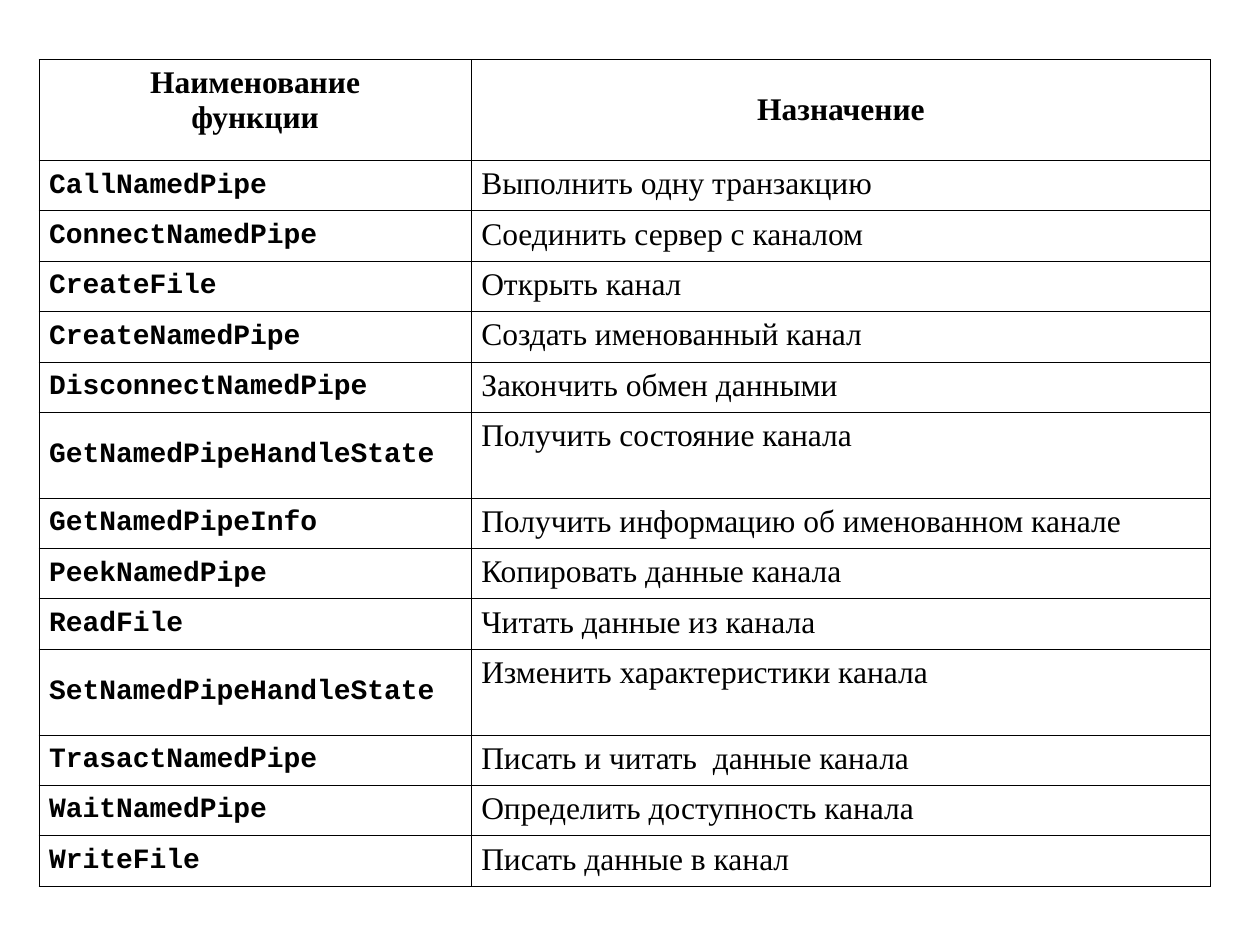
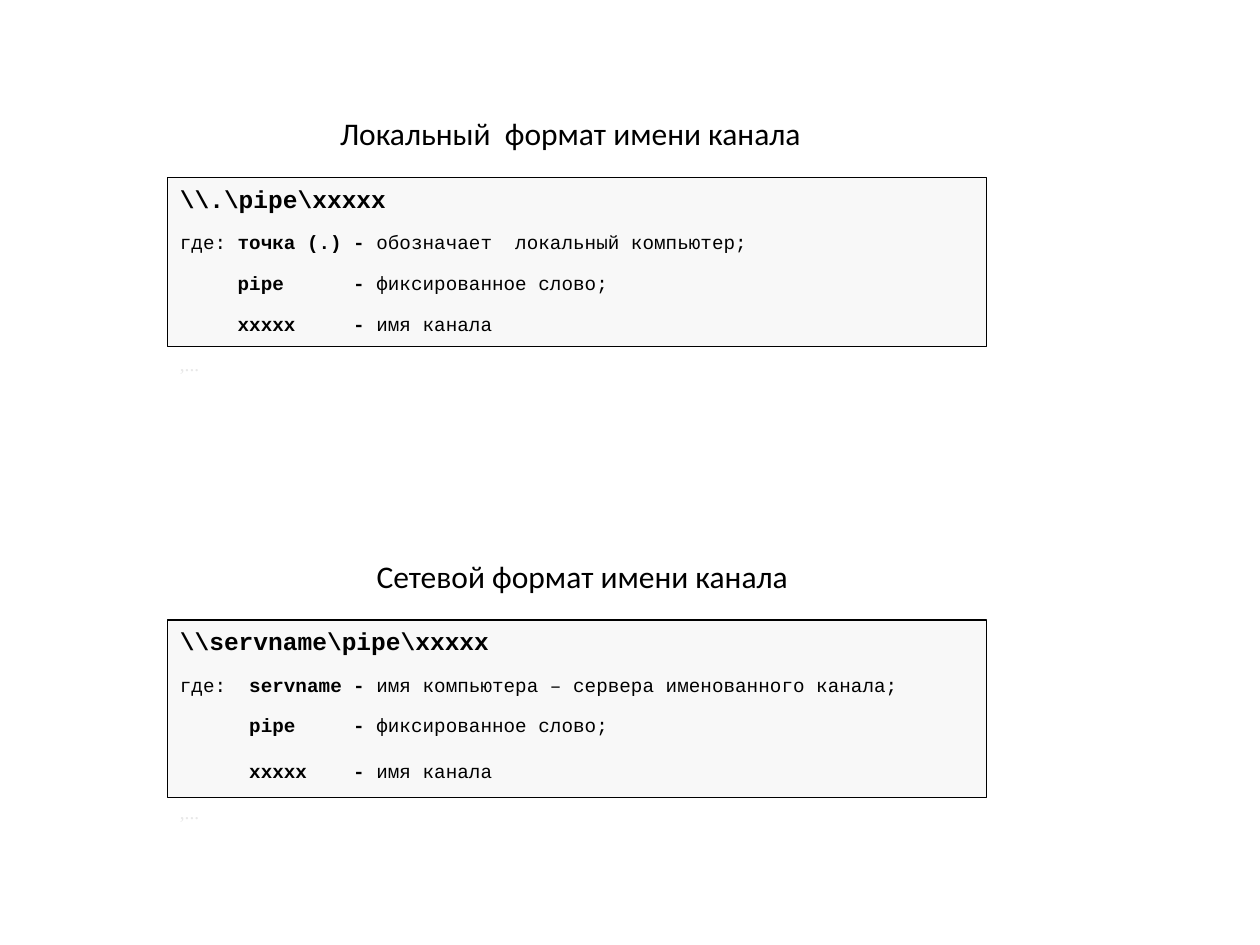
from dataclasses import dataclass

from lxml.etree import SubElement
from pptx import Presentation
from pptx.dml.color import RGBColor
from pptx.enum.shapes import MSO_SHAPE
from pptx.enum.text import MSO_ANCHOR as Anchor, MSO_AUTO_SIZE as AutoSize, PP_ALIGN as Align
from pptx.oxml.ns import qn
from pptx.util import Inches, Pt

SLIDE_WIDTH, SLIDE_HEIGHT = 10, 7.5


@dataclass(frozen=True)
class Theme:
    ink: str = "000000"
    panel: str = "F8F8F8"
    faint: str = "E8E8E8"
    serif: str = "Times New Roman"
    code: str = "Courier New"
    sans: str = "Calibri"
    large: float = 18
    name: float = 16
    pattern: float = 14
    small: float = 11
    table_line: float = 0.45
    panel_line: float = 0.75
    paragraph_gap: float = 10


THEME = Theme()
HEADING = {"name": THEME.serif, "size": THEME.large, "bold": True}
FUNCTION = {"name": THEME.code, "size": THEME.name, "bold": True}
PURPOSE = {"name": THEME.serif, "size": THEME.large, "bold": False}
CAPTION = {"name": THEME.sans, "size": THEME.large}
PATTERN = {"name": THEME.code, "size": THEME.pattern, "bold": True}
TERM = {"name": THEME.code, "size": THEME.small, "bold": True}
MEANING = TERM | {"bold": False}
REMAINDER = {"name": THEME.serif, "size": THEME.small, "color": THEME.faint}

PIPE_FUNCTIONS = [
    ("CallNamedPipe", "Выполнить одну транзакцию"),
    ("ConnectNamedPipe", "Соединить сервер с каналом"),
    ("CreateFile", "Открыть канал"),
    ("CreateNamedPipe", "Создать именованный канал"),
    ("DisconnectNamedPipe", "Закончить обмен данными"),
    ("GetNamedPipeHandleState", "Получить состояние канала"),
    ("GetNamedPipeInfo", "Получить информацию об именованном канале"),
    ("PeekNamedPipe", "Копировать данные канала"),
    ("ReadFile", "Читать данные из канала"),
    ("SetNamedPipeHandleState", "Изменить характеристики канала"),
    ("TrasactNamedPipe", "Писать и читать  данные канала"),
    ("WaitNamedPipe", "Определить доступность канала"),
    ("WriteFile", "Писать данные в канал"),
]
HEADER_HEIGHT, ROW_HEIGHT, TALL_ROW_HEIGHT = 0.8, 0.4, 0.68
LONGEST_SHORT_NAME = 20

COMMON_TERMS = [("pipe", "фиксированное слово;"), ("xxxxx", "имя канала")]
CODE_COLUMN = 0.6 * THEME.small  # width of one monospaced character, in points
DASH_COLUMN = 15
CAPTION_RISE = 0.55


def across(share):
    return Inches(SLIDE_WIDTH * share)


def down(share):
    return Inches(SLIDE_HEIGHT * share)


def set_values(target, values):
    for attribute, value in values.items():
        setattr(target, attribute, value)


def add_run(paragraph, text, style):
    run = paragraph.add_run()
    run.text = text
    values = {"color": THEME.ink} | style
    run.font.color.rgb = RGBColor.from_string(values.pop("color"))
    set_values(run.font, values | {"size": Pt(values["size"])})


def add_paragraph(frame, runs, **values):
    """Fill the frame's empty first paragraph, or append a new one."""
    paragraph = frame.paragraphs[0]
    if paragraph.runs:
        paragraph = frame.add_paragraph()
    set_values(paragraph, values)
    for text, style in runs:
        add_run(paragraph, text, style)
    return paragraph


def set_tab_stops(paragraph, columns):
    tab_list = SubElement(paragraph._p.get_or_add_pPr(), qn("a:tabLst"))
    for column in columns:
        SubElement(tab_list, qn("a:tab"), pos=str(Pt(column * CODE_COLUMN)), algn="l")


def add_cell_borders(cell):
    properties = cell._tc.get_or_add_tcPr()
    for side in ("lnL", "lnR", "lnT", "lnB"):
        line = SubElement(properties, qn(f"a:{side}"), w=str(Pt(THEME.table_line)))
        SubElement(SubElement(line, qn("a:solidFill")), qn("a:srgbClr"), val=THEME.ink)


def fill_cell(cell, lines, style, anchor, align=Align.LEFT):
    add_cell_borders(cell)
    cell.fill.background()
    set_values(cell, {
        "margin_left": Inches(0.08), "margin_right": Inches(0.08),
        "margin_top": Inches(0.05), "margin_bottom": Inches(0.05),
        "vertical_anchor": anchor,
    })
    for line in lines:
        add_paragraph(cell.text_frame, [(line, style)], alignment=align)


def add_function_table(slide):
    heights = [HEADER_HEIGHT] + [
        TALL_ROW_HEIGHT if len(name) > LONGEST_SHORT_NAME else ROW_HEIGHT
        for name, _ in PIPE_FUNCTIONS
    ]
    table = slide.shapes.add_table(
        len(heights), 2, across(0.031), down(0.063), across(0.93), Inches(sum(heights))
    ).table
    set_values(table, {"first_row": False, "horz_banding": False})
    for column, share in zip(table.columns, (0.343, 0.587)):
        column.width = across(share)
    for row, height in zip(table.rows, heights):
        row.height = Inches(height)

    fill_cell(table.cell(0, 0), ["Наименование", "функции"], HEADING, Anchor.TOP, Align.CENTER)
    fill_cell(table.cell(0, 1), ["Назначение"], HEADING, Anchor.MIDDLE, Align.CENTER)
    for row, (name, purpose) in enumerate(PIPE_FUNCTIONS, start=1):
        fill_cell(table.cell(row, 0), [name], FUNCTION, Anchor.MIDDLE)
        fill_cell(table.cell(row, 1), [purpose], PURPOSE, Anchor.TOP)


def add_caption(slide, text, left, top, width):
    box = slide.shapes.add_textbox(left, top, width, Inches(0.4))
    set_values(box.text_frame, {"word_wrap": False, "auto_size": AutoSize.SHAPE_TO_FIT_TEXT})
    add_paragraph(box.text_frame, [(text, CAPTION)])


def add_format_panel(slide, top, height, pattern, terms, term_column, last_gap=0):
    """Draw a pipe name pattern with its terms lined up on tab stops."""
    panel = slide.shapes.add_shape(
        MSO_SHAPE.RECTANGLE, across(0.133), top, across(0.65), height
    )
    panel.shadow.inherit = False
    panel.fill.solid()
    panel.fill.fore_color.rgb = RGBColor.from_string(THEME.panel)
    panel.line.color.rgb = RGBColor.from_string(THEME.ink)
    panel.line.width = Pt(THEME.panel_line)
    frame = panel.text_frame
    set_values(frame, {"word_wrap": True, "vertical_anchor": Anchor.TOP})

    spacing = {"alignment": Align.LEFT, "space_after": Pt(THEME.paragraph_gap)}
    add_paragraph(frame, [(pattern, PATTERN)], **spacing)
    for index, (term, meaning) in enumerate(terms):
        lead = [("где:", MEANING)] if index == 0 else []
        runs = lead + [(f"\t{term}\t- ", TERM), (meaning, MEANING)]
        paragraph = add_paragraph(frame, runs, **spacing)
        if index == len(terms) - 1:
            paragraph.space_before = Pt(last_gap)
        set_tab_stops(paragraph, (term_column, DASH_COLUMN))
    add_paragraph(frame, [(",...", REMAINDER)], **spacing)


def add_name_format(slide, caption, caption_left, caption_width, top, **panel):
    add_format_panel(slide, top, **panel)
    add_caption(slide, caption, caption_left, top - Inches(CAPTION_RISE), caption_width)


def add_name_formats(slide):
    add_name_format(
        slide, "Локальный  формат имени канала", across(0.26), across(0.392),
        top=down(0.188), height=down(0.179), pattern=r"\\.\pipe\xxxxx", term_column=5,
        terms=[("точка (.)", "обозначает  локальный компьютер;"), *COMMON_TERMS],
    )
    add_name_format(
        slide, "Сетевой формат имени канала", across(0.289), across(0.353),
        top=down(0.656), height=down(0.188), pattern=r"\\servname\pipe\xxxxx", term_column=6,
        terms=[("servname", "имя компьютера – сервера именованного канала;"), *COMMON_TERMS],
        last_gap=3,
    )


def main():
    presentation = Presentation()
    set_values(presentation, {"slide_width": across(1), "slide_height": down(1)})
    blank = presentation.slide_layouts[6]
    for add_content in (add_function_table, add_name_formats):
        add_content(presentation.slides.add_slide(blank))
    presentation.save("out.pptx")


if __name__ == "__main__":
    main()
